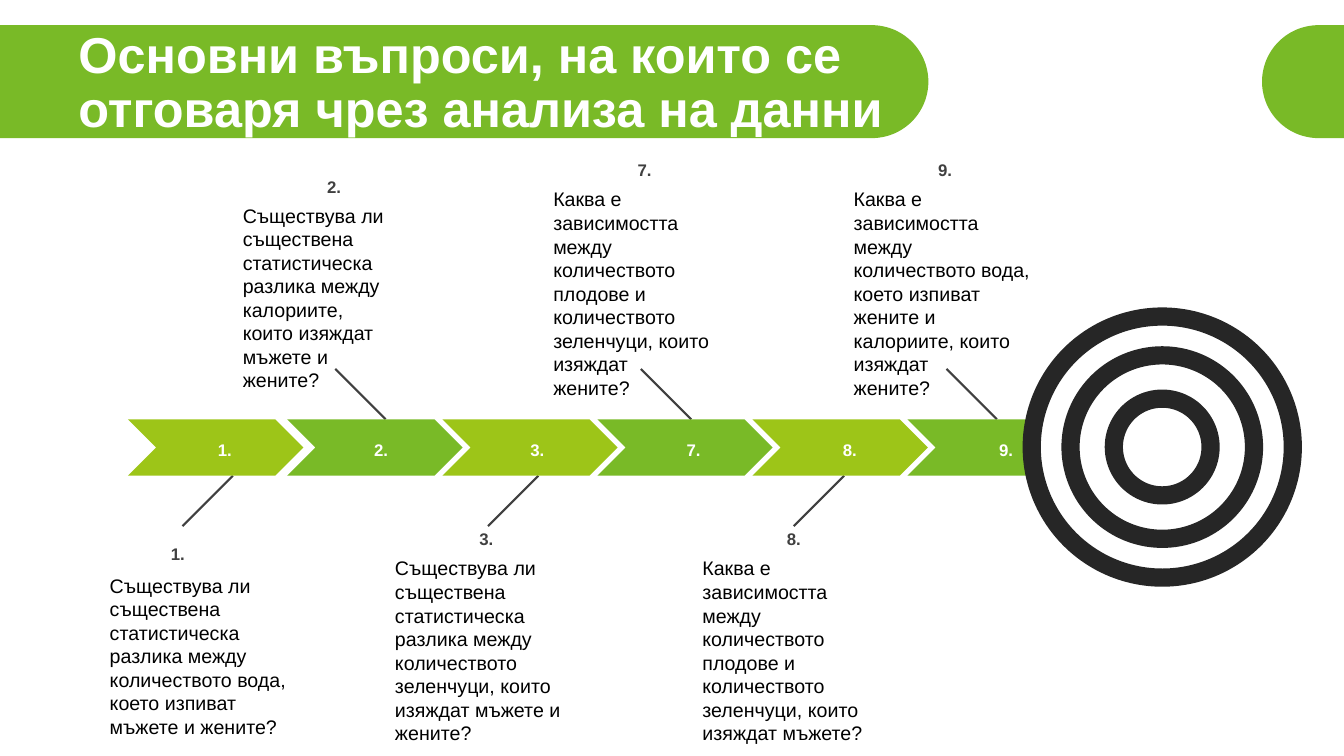
import math
from dataclasses import dataclass

from lxml import etree
from pptx import Presentation
from pptx.dml.color import RGBColor
from pptx.enum.shapes import MSO_CONNECTOR, MSO_SHAPE
from pptx.enum.text import MSO_ANCHOR, MSO_AUTO_SIZE, PP_ALIGN
from pptx.oxml.ns import qn
from pptx.util import Inches, Pt

CHEVRON, ELLIPSE = MSO_SHAPE.CHEVRON, MSO_SHAPE.OVAL
STRAIGHT = MSO_CONNECTOR.STRAIGHT
LEFT, CENTER = PP_ALIGN.LEFT, PP_ALIGN.CENTER
TOP, MIDDLE = MSO_ANCHOR.TOP, MSO_ANCHOR.MIDDLE
GROW, FIXED = MSO_AUTO_SIZE.SHAPE_TO_FIT_TEXT, MSO_AUTO_SIZE.NONE

SLIDE_W, SLIDE_H = 133.33, 75  # grid columns and rows


@dataclass(frozen=True)
class Theme:
    font: str = "Arial"
    green: str = "79BA27"
    lime: str = "9DC518"
    white: str = "FFFFFF"
    ink: str = "000000"
    grey: str = "404040"
    ring: str = "262626"
    title_pt: float = 36
    body_pt: float = 14
    number_pt: float = 12
    pointer_pt: float = 1.5
    ring_pt: float = 13


@dataclass(frozen=True)
class Question:
    number: str
    col: float
    row: float
    lines: int
    text: str
    width: float = 20.1
    body_dx: float = 0
    body_dy: float = 2.7


@dataclass(frozen=True)
class Style:
    size: float
    color: str
    bold: bool = False
    align: PP_ALIGN = LEFT


THEME = Theme()
TITLE = Style(THEME.title_pt, THEME.white, True)
BODY = Style(THEME.body_pt, THEME.ink)
HEADING = Style(THEME.number_pt, THEME.grey, True, CENTER)
STEP = Style(THEME.number_pt, THEME.white, True, CENTER)

QUESTIONS = [
    Question("1.", 7.6, 53.5, 7, "Съществува ли съществена статистическа разлика между "
             "количеството вода, което изпиват мъжете и жените?", body_dx=2.3, body_dy=2.9),
    Question("2.", 23.1, 17, 8, "Съществува ли съществена статистическа разлика между "
             "калориите, които изяждат мъжете и жените?", width=16.8),
    Question("3.", 38.2, 52, 8, "Съществува ли съществена статистическа разлика между "
             "количеството зеленчуци, които изяждат мъжете и жените?"),
    Question("7.", 53.9, 15.4, 9, "Каква е зависимостта между количеството плодове и "
             "количеството зеленчуци, които изяждат\nжените?"),
    Question("8.", 68.7, 52, 8, "Каква е зависимостта между количеството плодове и "
             "количеството зеленчуци, които изяждат мъжете?"),
    Question("9.", 83.7, 15.4, 9, "Каква е зависимостта между количеството вода, което "
             "изпиват жените и калориите, които изяждат\nжените?"),
]

BAND_TOP, BAND_H = 2.5, 11.2
ARROW_TOP, ARROW_W, ARROW_H = 41.6, 17.4, 5.6
POINTER = 5
TARGET_X, TARGET_Y = 115.3, 44.35
RING_DIAMETERS = (25.9, 18.2, 9.6)


def grid(*cells: float) -> list[int]:
    return [Inches(c / 10) for c in cells]


def rgb(color: str) -> RGBColor:
    return RGBColor.from_string(color)


def paint(sp, color: str) -> None:
    sp.shadow.inherit = False
    sp.fill.solid()
    sp.fill.fore_color.rgb = rgb(color)
    sp.line.fill.background()


def add_text(s, text: str, box: tuple, style: Style, anchor=TOP, autosize=GROW):
    tf = s.shapes.add_textbox(*grid(*box)).text_frame
    tf.text = text
    tf.word_wrap, tf.vertical_anchor, tf.auto_size = True, anchor, autosize
    for p in tf.paragraphs:
        p.alignment = style.align
        for r in p.runs:
            r.font.name, r.font.size, r.font.bold = THEME.font, Pt(style.size), style.bold
            r.font.color.rgb = rgb(style.color)
    return tf


def add_band(s, edge: float, center: float) -> None:
    """Draw a band from a flat edge to a half circle around center."""
    radius = BAND_H / 2
    side = 1 if center > edge else -1
    angles = [math.radians(a) for a in range(-90, 91, 3)]
    arc = [grid(center + side * radius * math.cos(a),
                BAND_TOP + radius + radius * math.sin(a)) for a in angles]
    fb = s.shapes.build_freeform(*grid(edge, BAND_TOP))
    fb.add_line_segments([*arc, grid(edge, BAND_TOP + BAND_H)])
    paint(fb.convert_to_shape(), THEME.green)


def add_pointer(s, i: int, above: bool) -> None:
    tip = 23.1 + 15.16 * i
    tip_y = ARROW_TOP if above else ARROW_TOP + ARROW_H
    start_y = tip_y + (-POINTER if above else POINTER)
    line = s.shapes.add_connector(STRAIGHT, *grid(tip - POINTER, start_y, tip, tip_y))
    line.line.color.rgb = rgb(THEME.grey)
    line.line.width = Pt(THEME.pointer_pt)
    etree.SubElement(line._element.spPr, qn("a:effectLst"))


def add_arrow(s, i: int, above: bool) -> None:
    left = 13.12 + 15.38 * i if i else 12.7
    sp = s.shapes.add_shape(CHEVRON, *grid(left, ARROW_TOP, ARROW_W, ARROW_H))
    paint(sp, THEME.green if above else THEME.lime)


def add_question(s, i: int, q: Question) -> None:
    add_text(s, q.number, (q.col, q.row, 20.1, 3), HEADING)
    body = (q.col + q.body_dx, q.row + q.body_dy, q.width, 1 + 2.35 * q.lines)
    add_text(s, q.text, body, BODY)
    add_text(s, q.number, (15.7 + 15.5 * i, 43.1, 13.2, 3), STEP)


def add_ring(s, d: float) -> None:
    sp = s.shapes.add_shape(ELLIPSE, *grid(TARGET_X - d / 2, TARGET_Y - d / 2, d, d))
    paint(sp, THEME.white)
    sp.line.color.rgb = rgb(THEME.ring)
    sp.line.width = Pt(THEME.ring_pt)


def main() -> None:
    prs = Presentation()
    prs.slide_width, prs.slide_height = grid(SLIDE_W, SLIDE_H)
    s = prs.slides.add_slide(prs.slide_layouts[6])

    add_band(s, 0, 86.5)
    add_band(s, SLIDE_W, 130.8)
    tf = add_text(s, "Основни въпроси, на които се отговаря чрез анализа на данни",
                  (6.8, 4.4, 83.2, 7.9), TITLE, MIDDLE, FIXED)
    tf.paragraphs[0].line_spacing = 0.9
    tf.paragraphs[0].space_before = Pt(10)

    for draw in (add_pointer, add_arrow):
        for i in range(len(QUESTIONS)):
            draw(s, i, i % 2 == 1)
    for i, q in enumerate(QUESTIONS):
        add_question(s, i, q)
    for d in RING_DIAMETERS:
        add_ring(s, d)
    prs.save("out.pptx")


if __name__ == "__main__":
    main()
